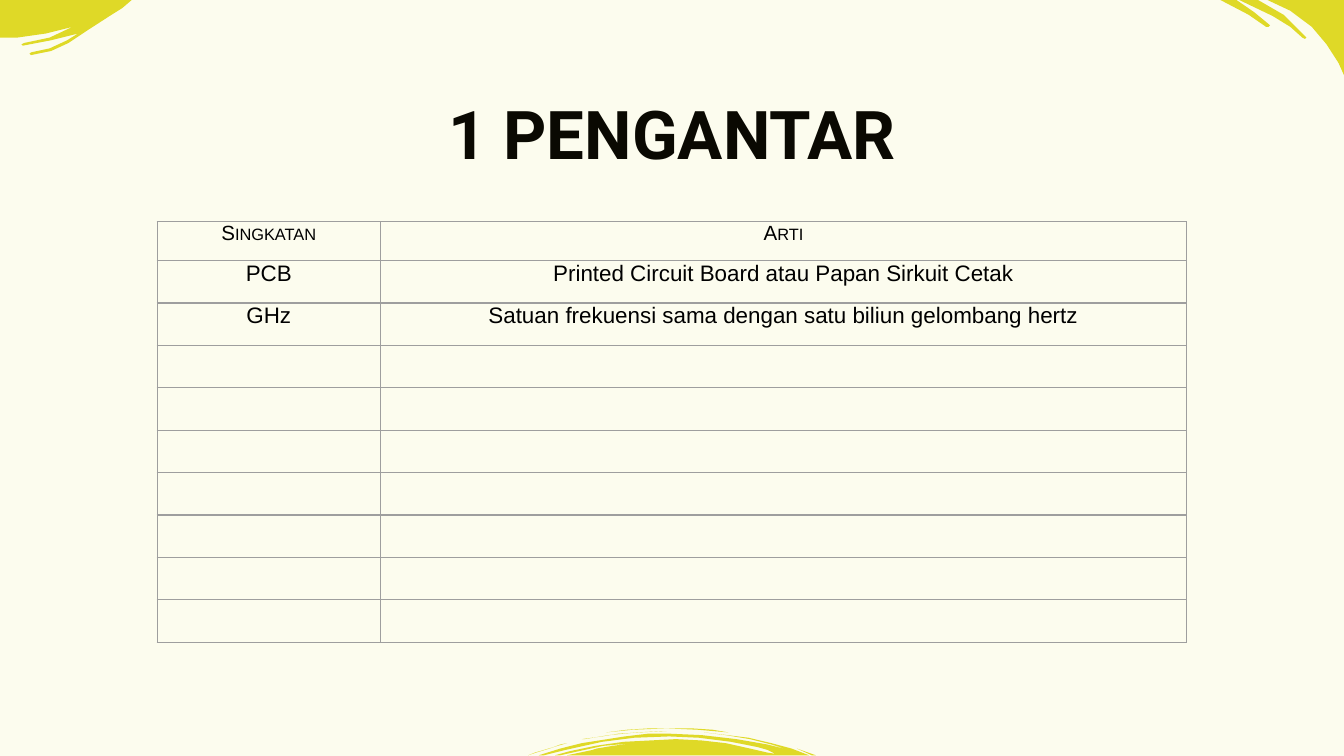
import pptx
import pptx.util
import pptx.dml.color
import pptx.enum.text
from lxml import etree
from pptx.util import Inches

A = "http://schemas.openxmlformats.org/drawingml/2006/main"


def paint(fill, color):
    fill.solid()
    fill.fore_color.rgb = pptx.dml.color.RGBColor.from_string(color)


def write(frame, text, size, font, color):
    paragraph = frame.paragraphs[0]
    paragraph.alignment = pptx.enum.text.PP_ALIGN.CENTER
    run = paragraph.add_run()
    run.text = text
    run.font.size = pptx.util.Pt(size)
    run.font.name = font
    paint(run.font.fill, color)
    return run


# Widescreen slide, 16 to 9
deck = pptx.Presentation()
deck.slide_width = Inches(10)
deck.slide_height = Inches(10 * 9 / 16)
slide = deck.slides.add_slide(deck.slide_layouts[6])
paint(slide.background.fill, "FCFCEE")

# Brush strokes: each one is a list of closed outlines
bottom_stroke = [
    [(4.98, 5.42), (4.83, 5.42), (4.67, 5.43), (4.51, 5.45), (4.71, 5.43),
     (4.96, 5.42), (5.19, 5.43), (5.42, 5.45), (5.3, 5.43), (5.15, 5.42)],
    [(4.94, 5.44), (4.74, 5.45), (4.53, 5.47), (4.35, 5.5), (4.33, 5.5),
     (4.48, 5.48), (4.6, 5.46), (4.76, 5.45), (4.96, 5.44)],
    [(5.93, 5.57), (6.04, 5.62), (6.07, 5.62)],
    [(4.22, 5.53), (4.15, 5.55), (4.05, 5.58), (3.98, 5.6), (3.93, 5.62),
     (3.99, 5.6), (4.09, 5.57), (4.17, 5.54)],
    [(5.24, 5.45), (5.4, 5.47), (5.58, 5.5), (5.74, 5.54), (5.87, 5.58),
     (5.71, 5.54), (5.48, 5.5), (5.22, 5.47), (4.99, 5.46), (4.82, 5.46),
     (4.65, 5.48), (4.33, 5.53), (4.17, 5.57), (4.01, 5.62), (4.05, 5.62),
     (4.21, 5.58), (4.48, 5.52), (4.72, 5.49), (4.98, 5.48), (5.2, 5.49),
     (5.44, 5.52), (5.64, 5.56), (5.71, 5.58), (5.77, 5.61), (5.71, 5.6),
     (5.58, 5.57), (5.4, 5.53), (5.22, 5.51), (5.03, 5.5), (4.84, 5.51),
     (4.64, 5.52), (4.43, 5.55), (4.24, 5.59), (4.13, 5.62), (4.17, 5.62),
     (4.26, 5.6), (4.49, 5.55), (4.71, 5.53), (4.56, 5.55), (4.44, 5.57),
     (4.41, 5.58), (4.46, 5.57), (4.22, 5.62), (6.02, 5.62), (5.89, 5.57),
     (5.74, 5.53), (5.57, 5.49), (5.41, 5.47)],
]
left_stroke = [
    [(0, 0), (0, 0.28), (0.13, 0.28), (0.34, 0.25), (0.54, 0.2), (0.37, 0.28),
     (0.18, 0.32), (0.16, 0.33), (0.17, 0.34), (0.38, 0.3), (0.58, 0.25),
     (0.5, 0.3), (0.37, 0.36), (0.23, 0.39), (0.22, 0.4), (0.23, 0.41),
     (0.38, 0.38), (0.51, 0.32), (0.66, 0.22), (0.83, 0.11), (0.91, 0.06),
     (0.98, 0)],
]
right_stroke = [
    [(10, 0), (9.43, 0), (9.6, 0.08), (9.76, 0.2), (9.87, 0.33), (9.96, 0.47),
     (10, 0.56)],
    [(9.72, 0.28), (9.71, 0.27), (9.55, 0.11), (9.36, 0), (9.22, 0),
     (9.47, 0.12), (9.6, 0.2), (9.69, 0.28), (9.71, 0.29)],
    [(9.45, 0.19), (9.44, 0.18), (9.33, 0.09), (9.2, 0), (9.08, 0),
     (9.29, 0.11), (9.42, 0.2), (9.44, 0.2)],
]
for outlines in (bottom_stroke, left_stroke, right_stroke):
    builder = None
    for outline in outlines:
        points = [(Inches(x), Inches(y)) for x, y in outline]
        if builder is None:
            builder = slide.shapes.build_freeform(*points[0])
        else:
            builder.move_to(*points[0])
        builder.add_line_segments(points[1:], close=True)
    stroke = builder.convert_to_shape()
    stroke.shadow.inherit = False
    paint(stroke.fill, "DFD927")
    stroke.line.fill.background()

# Title
title = slide.shapes.add_textbox(Inches(0.78), Inches(0.59), Inches(8.44), Inches(0.67))
title_frame = title.text_frame
title_frame.word_wrap = True
title_frame.margin_left = title_frame.margin_right = Inches(0.1)
title_frame.margin_top = title_frame.margin_bottom = Inches(0.1)
write(title_frame, "1 PENGANTAR", 36, "Roboto", "0A0902").font.bold = True

# Table of abbreviations, with empty rows left to fill in
entries = [
    ("Singkatan", "Arti"),
    ("PCB", "Printed Circuit Board atau Papan Sirkuit Cetak"),
    ("GHz", "Satuan frekuensi sama dengan satu biliun gelombang hertz"),
] + [("", "")] * 7
height, header_height = 3.13, 0.29
abbreviations = slide.shapes.add_table(
    len(entries), 2, Inches(1.17), Inches(1.65), Inches(7.66), Inches(height)).table
abbreviations.first_row = abbreviations.horz_banding = False
for column, width in zip(abbreviations.columns, (1.66, 6)):
    column.width = Inches(width)

for r, entry in enumerate(entries):
    abbreviations.rows[r].height = Inches(
        (height - header_height) / (len(entries) - 1) if r else header_height)
    for c, text in enumerate(entry):
        cell = abbreviations.cell(r, c)
        cell.margin_left = cell.margin_right = Inches(0.07)
        cell.margin_top = cell.margin_bottom = 0
        properties = cell._tc.get_or_add_tcPr()
        for side in ("lnL", "lnR", "lnT", "lnB"):
            border = etree.SubElement(properties, f"{{{A}}}{side}", w="9525")
            solid = etree.SubElement(border, f"{{{A}}}solidFill")
            etree.SubElement(solid, f"{{{A}}}srgbClr", val="9E9E9E")
        cell.fill.background()
        if text:
            run = write(cell.text_frame, text, 12 if r else 11, "Arial", "000000")
            if r == 0:
                run.font._element.set("cap", "small")
        else:
            cell.text_frame.paragraphs[0].font.size = pptx.util.Pt(12)

deck.save("out.pptx")
